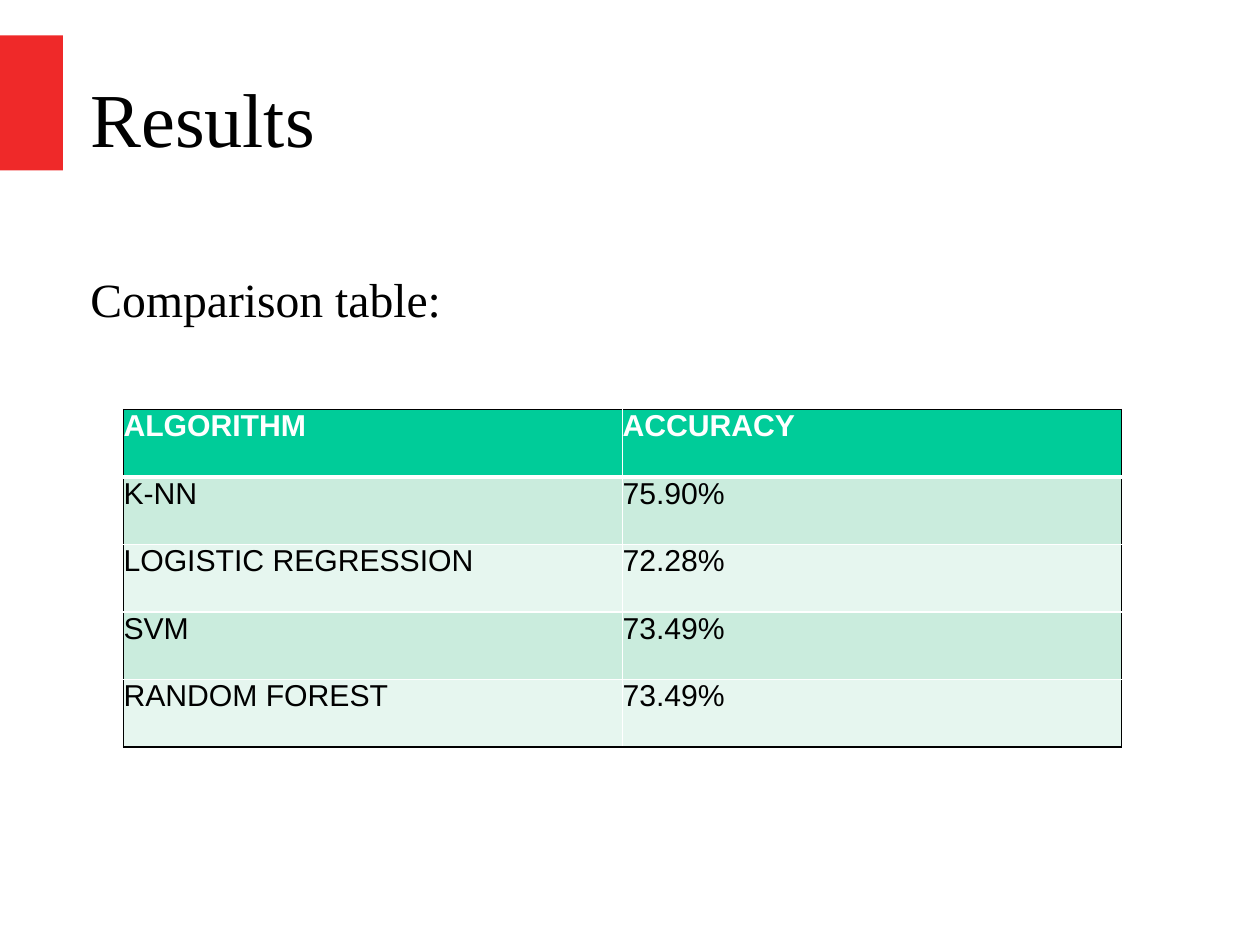
from dataclasses import dataclass

from pptx import Presentation, util as u
from pptx.dml import color
from pptx.enum import shapes, text
from pptx.oxml import parse_xml
from pptx.oxml.ns import nsdecls

PX = 9144


@dataclass(frozen=True)
class Theme:
    accent: str = "EF2929"
    ink: str = "000000"
    paper: str = "FFFFFF"
    header: str = "00CC99"
    bands: tuple[str, str] = ("CAECDD", "E6F6EF")
    serif: str = "Times New Roman"
    sans: str = "Arial"
    title_size: int = 48
    body_size: int = 30
    table_size: int = 19


@dataclass(frozen=True)
class Box:
    x: int
    y: int
    w: int
    h: int

    def emu(self) -> tuple[int, int, int, int]:
        return self.x * PX, self.y * PX, self.w * PX, self.h * PX


@dataclass(frozen=True)
class Font:
    name: str
    size: int
    color: str
    bold: bool = False


@dataclass(frozen=True)
class Result:
    algorithm: str
    accuracy: str


THEME = Theme()
HEADER = Result("ALGORITHM", "ACCURACY")
RESULTS = [
    Result("K-NN", "75.90%"),
    Result("LOGISTIC REGRESSION", "72.28%"),
    Result("SVM", "73.49%"),
    Result("RANDOM FOREST", "73.49%"),
]


def rgb(value: str) -> color.RGBColor:
    return color.RGBColor.from_string(value)


def write(tf, content: str, font: Font) -> None:
    p = tf.paragraphs[0]
    p.alignment = text.PP_ALIGN.LEFT
    r = p.add_run()
    r.text = content
    r.font.name = font.name
    r.font.size = u.Pt(font.size)
    r.font.bold = font.bold
    r.font.color.rgb = rgb(font.color)


def fill_frame(sp, box: Box, content: str, font: Font, anchor: text.MSO_ANCHOR) -> None:
    sp.left, sp.top, sp.width, sp.height = box.emu()
    tf = sp.text_frame
    tf.word_wrap = True
    tf.auto_size = text.MSO_AUTO_SIZE.NONE
    tf.margin_left = tf.margin_top = tf.margin_right = tf.margin_bottom = 0
    tf.vertical_anchor = anchor
    write(tf, content, font)


def add_accent(s, box: Box) -> None:
    sp = s.shapes.add_shape(shapes.MSO_SHAPE.RECTANGLE, *box.emu())
    sp.shadow.inherit = False
    sp.fill.solid()
    sp.fill.fore_color.rgb = rgb(THEME.accent)
    sp.line.fill.background()


def set_borders(cell, borders: dict[str, tuple[str, int]]) -> None:
    tc_pr = cell._tc.get_or_add_tcPr()
    for i, (side, (line_color, width)) in enumerate(borders.items()):
        tc_pr.insert(i, parse_xml(
            f'<a:{side} {nsdecls("a")} w="{u.Pt(width)}"><a:solidFill>'
            f'<a:srgbClr val="{line_color}"/></a:solidFill></a:{side}>'))


def add_results(s, box: Box) -> None:
    rows = [HEADER, *RESULTS]
    table = s.shapes.add_table(len(rows), 2, *box.emu()).table
    last = len(rows) - 1
    outer, inner, rule = (THEME.ink, 1), (THEME.paper, 1), (THEME.paper, 3)
    for i, result in enumerate(rows):
        is_header = i == 0
        fill = THEME.header if is_header else THEME.bands[(i - 1) % 2]
        ink = THEME.paper if is_header else THEME.ink
        font = Font(THEME.sans, THEME.table_size, ink, is_header)
        for j, content in enumerate((result.algorithm, result.accuracy)):
            cell = table.cell(i, j)
            cell.margin_left = cell.margin_top = cell.margin_right = cell.margin_bottom = 0
            cell.fill.solid()
            cell.fill.fore_color.rgb = rgb(fill)
            set_borders(cell, {
                "lnL": outer if j == 0 else inner,
                "lnR": outer if j == 1 else inner,
                "lnT": outer if is_header else rule if i == 1 else inner,
                "lnB": rule if is_header else outer if i == last else inner,
            })
            write(cell.text_frame, content, font)


def main() -> None:
    prs = Presentation()
    prs.slide_width, prs.slide_height = 1101 * PX, 826 * PX
    s = prs.slides.add_slide(prs.slide_layouts.get_by_name("Title Only"))
    add_accent(s, Box(0, 31, 55, 118))
    fill_frame(s.shapes.title, Box(79, 33, 968, 138), "Results",
               Font(THEME.serif, THEME.title_size, THEME.ink), text.MSO_ANCHOR.MIDDLE)
    caption = Box(79, 236, 945, 479)
    fill_frame(s.shapes.add_textbox(*caption.emu()), caption, "Comparison table:",
               Font(THEME.serif, THEME.body_size, THEME.ink), text.MSO_ANCHOR.TOP)
    add_results(s, Box(108, 358, 872, 295))
    prs.save("out.pptx")


if __name__ == "__main__":
    main()
